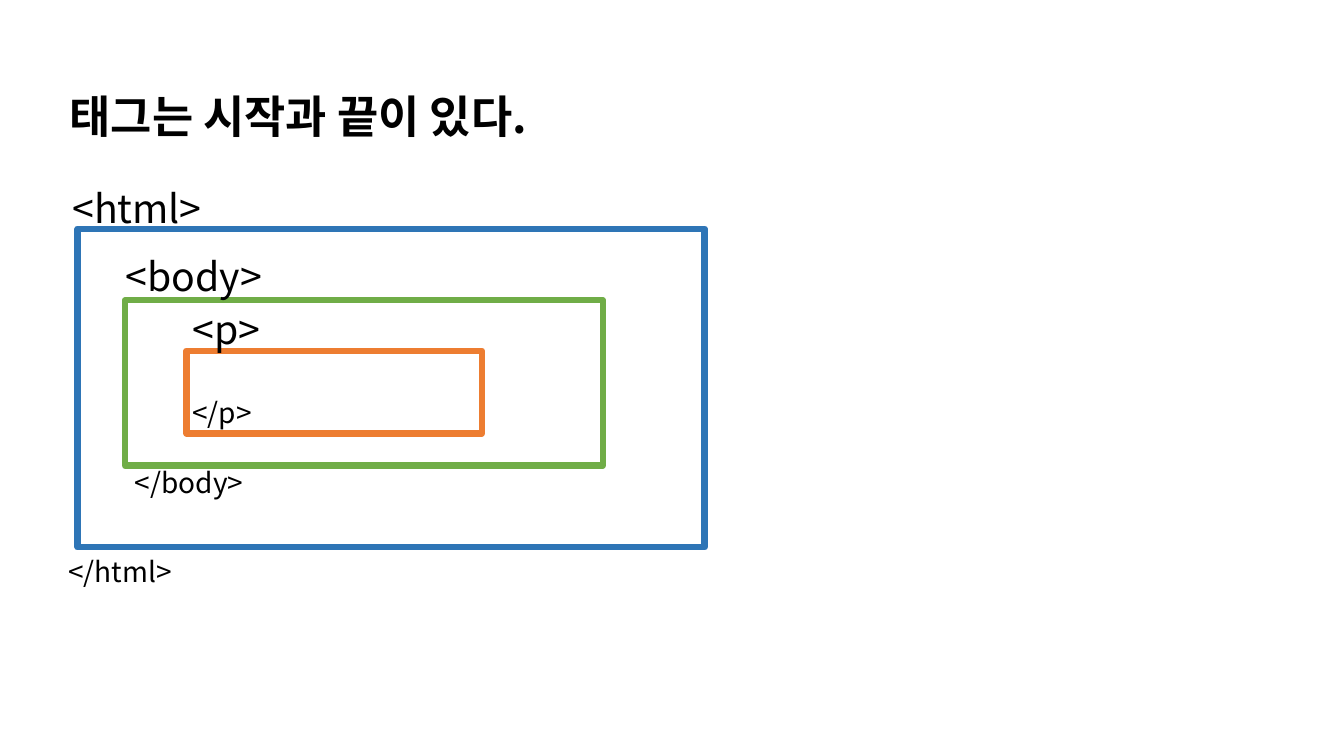
from lxml import etree
from pptx import Presentation
from pptx import util as u
from pptx.dml.color import RGBColor
from pptx.enum import shapes, text
from pptx.oxml.ns import qn


def paint(code):
    return RGBColor.from_string(code)


class Deck:
    face = "Noto Sans CJK KR"
    ink = "000000"
    cols = 133.33
    rows = 75

    def __init__(self):
        self.prs = Presentation()
        self.prs.slide_width = u.Inches(13.33)
        self.prs.slide_height = u.Inches(7.5)
        self.slide = self.prs.slides.add_slide(self.prs.slide_layouts[5])

    def area(self, left, top, width, height):
        col = self.prs.slide_width / self.cols
        row = self.prs.slide_height / self.rows
        return [round(n) for n in (left * col, top * row, width * col, height * row)]

    def style(self, shape, words, size, bold=False):
        frame = shape.text_frame
        frame.word_wrap = False
        frame.auto_size = text.MSO_AUTO_SIZE.SHAPE_TO_FIT_TEXT
        frame.vertical_anchor = text.MSO_ANCHOR.TOP
        para = frame.paragraphs[0]
        para.text = words
        para.alignment = text.PP_ALIGN.LEFT
        font = para.font
        font.size = u.Pt(size)
        font.bold = bold
        font.color.rgb = paint(self.ink)
        font.name = self.face
        etree.SubElement(font._element, qn("a:ea"), typeface=self.face)

    def title(self, words, *spot):
        head = self.slide.shapes.title
        head.left, head.top, head.width, head.height = self.area(*spot)
        self.style(head, words, 32, True)

    def label(self, words, size, *spot):
        self.style(self.slide.shapes.add_textbox(*self.area(*spot)), words, size)

    def frame(self, color, *spot):
        box = self.slide.shapes.add_shape(
            shapes.MSO_SHAPE.RECTANGLE, *self.area(*spot))
        box.shadow.inherit = False
        box.fill.background()
        box.line.color.rgb = paint(color)
        box.line.width = u.Pt(4.5)


def main():
    deck = Deck()
    deck.title("태그는 시작과 끝이 있다.", 5.9, 8.3, 47.6, 6.4)
    deck.frame("2E75B6", 7.7, 22.7, 62.2, 31.6)
    deck.frame("70AD47", 12.4, 29.8, 47.4, 16.4)
    deck.frame("ED7D31", 18.5, 34.8, 29.3, 8.2)
    tags = [
        ("html", (6.2, 17.8, 15.2), (5.8, 54.5, 12.7)),
        ("body", (11.5, 24.5, 15.9), (12.4, 45.7, 13.1)),
        ("p", (18.1, 29.8, 9.2), (18.1, 38.7, 8.3)),
    ]
    for name, start, end in tags:
        deck.label(f"<{name}>", 28, *start, 5.7)
        deck.label(f"</{name}>", 20, *end, 4.4)
    deck.prs.save("out.pptx")


if __name__ == "__main__":
    main()
